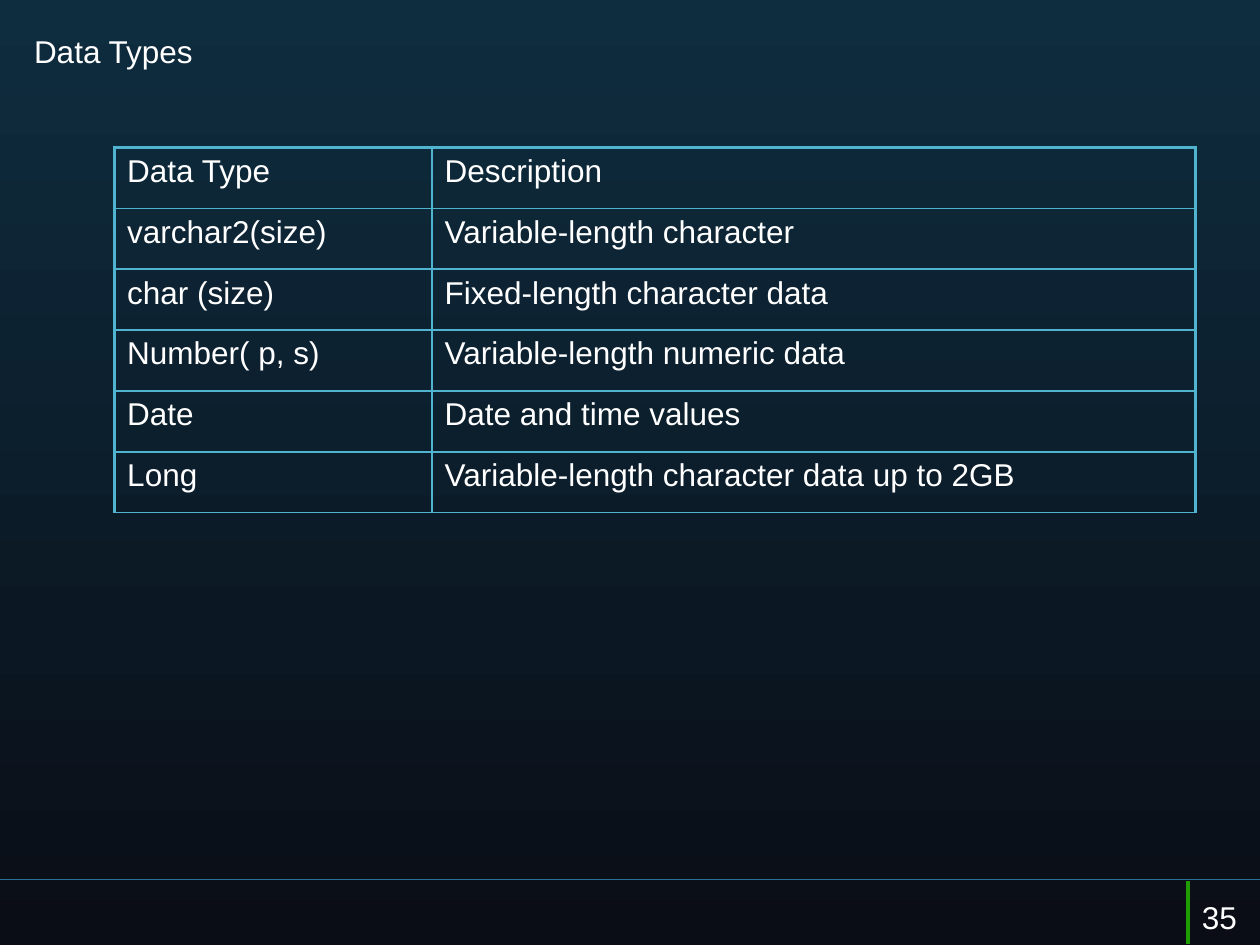
from lxml import etree
from pptx import Presentation
from pptx import util as u
from pptx.dml.color import RGBColor
from pptx.enum import shapes, text
from pptx.oxml.ns import qn

COLORS = {
    "top": "0E2D3F",
    "bottom": "0A0D16",
    "rule": "287094",
    "accent": "209D03",
    "border": "50B3CF",
    "text": "FFFFFF",
}
ROWS = [
    ("Data Type", "Description"),
    ("varchar2(size)", "Variable-length character"),
    ("char (size)", "Fixed-length character data"),
    ("Number( p, s)", "Variable-length numeric data"),
    ("Date", "Date and time values"),
    ("Long", "Variable-length character data up to 2GB"),
]


def write(tf, words, size=18, font="Arial", color="text"):
    tf.word_wrap = True
    tf.vertical_anchor = text.MSO_ANCHOR.TOP
    p = tf.paragraphs[0]
    p.alignment = text.PP_ALIGN.LEFT
    r = p.add_run()
    r.text = words
    r.font.size = u.Pt(size)
    r.font.name = font
    r.font.color.rgb = RGBColor.from_string(COLORS[color])


def set_borders(cell, widths):
    tcPr = cell._tc.get_or_add_tcPr()
    for i, (side, width) in enumerate(widths.items()):
        ln = etree.Element(qn(f"a:ln{side}"), w=str(u.Pt(width)))
        fill = etree.SubElement(ln, qn("a:solidFill"))
        etree.SubElement(fill, qn("a:srgbClr"), val=COLORS["border"])
        tcPr.insert(i, ln)


prs = Presentation()
prs.slide_width, prs.slide_height = u.Inches(10), u.Inches(7.5)
s = prs.slides.add_slide(prs.slide_layouts[5])

bg = s.background.fill
bg.gradient()
bg.gradient_angle = 270
for stop, name in zip(bg.gradient_stops, ("top", "bottom")):
    stop.color.rgb = RGBColor.from_string(COLORS[name])

for x1, y1, x2, y2, name, width in [
    (10, 6.98, 0, 6.98, "rule", 0.75),
    (9.43, 6.99, 9.43, 7.49, "accent", 2),
]:
    line = s.shapes.add_connector(
        shapes.MSO_CONNECTOR.STRAIGHT,
        u.Inches(x1), u.Inches(y1), u.Inches(x2), u.Inches(y2))
    line.line.color.rgb = RGBColor.from_string(COLORS[name])
    line.line.width = u.Pt(width)
    etree.SubElement(line._element.spPr, qn("a:effectLst"))

title = s.shapes.title
title.left, title.top = u.Inches(0.17), u.Inches(0.2)
title.width, title.height = u.Inches(7.5), u.Inches(0.58)
write(title.text_frame, "Data Types")

number = s.shapes.add_textbox(
    u.Inches(9.44), u.Inches(7.08), u.Inches(0.81), u.Inches(0.25))
write(number.text_frame, "35")

table = s.shapes.add_table(
    len(ROWS), 2, u.Inches(0.91), u.Inches(1.17),
    u.Inches(8.58), u.Inches(2.9)).table
table.first_row = False
table.horz_banding = False
for col, width in zip(table.columns, (2.52, 6.06)):
    col.width = u.Inches(width)
for i, row in enumerate(ROWS):
    table.rows[i].height = u.Inches(2.9 / len(ROWS))
    for j, words in enumerate(row):
        cell = table.cell(i, j)
        cell.fill.background()
        write(cell.text_frame, words)
        set_borders(cell, {
            "L": 2.25 if j == 0 else 1,
            "R": 2.25 if j == 1 else 1,
            "T": 2.25 if i == 0 else 1,
            "B": 1,
        })

prs.save("out.pptx")
